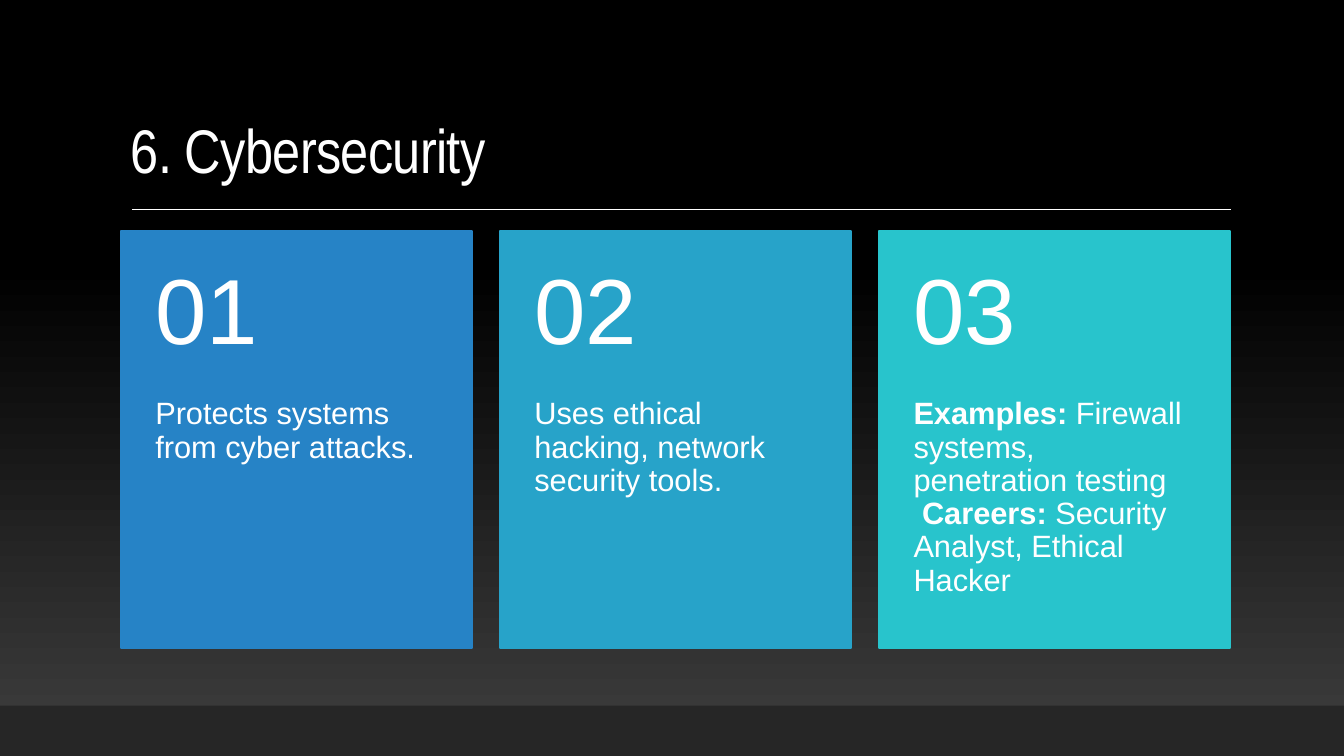
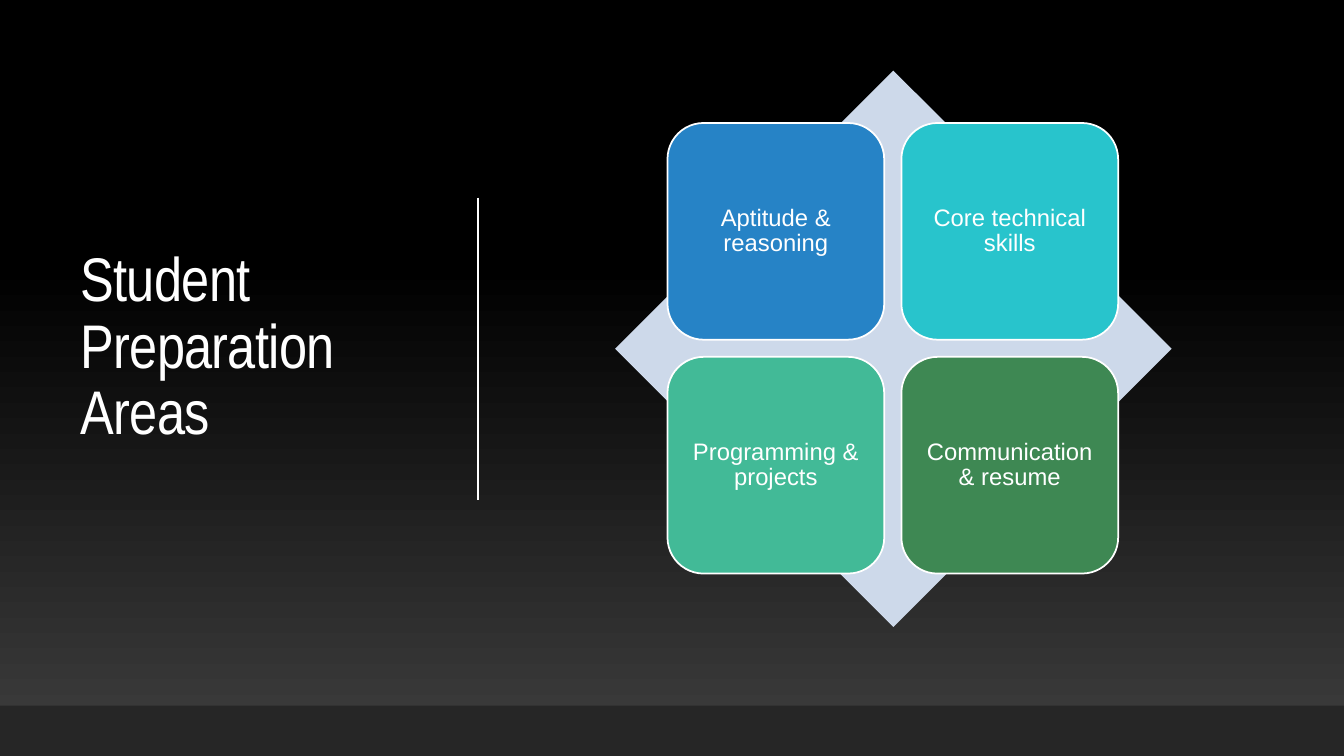
from pptx import Presentation
from pptx.dml.color import RGBColor as RGB
from pptx.enum.shapes import MSO_CONNECTOR as LINE, MSO_SHAPE as SHAPE
from pptx.enum.text import MSO_ANCHOR as ANCHOR, PP_ALIGN as ALIGN
from pptx.util import Inches, Pt
from pptx.oxml.ns import qn
from lxml.etree import SubElement

COLORS = {
    "white": "FFFFFF", "black": "000000", "charcoal": "3F3F3F", "band": "262626",
    "blue": "2683C6", "sky": "27A3C9", "teal": "28C4CC", "mint": "42BA97",
    "green": "3E8853", "pale": "CDD9EA",
}
FORMATS = {
    "title": {"name": "Arial Narrow", "size": Pt(44)},
    "number": {"name": "Arial", "size": Pt(66)},
    "body": {"name": "Arial", "size": Pt(22)},
    "tile": {"name": "Arial", "size": Pt(17)},
}
WIDTH, HEIGHT, BAND = 13.33, 7.5, 0.5


def color(key):
    return RGB.from_string(COLORS[key])


class Deck:
    def __init__(self):
        self.prs = Presentation()
        self.prs.slide_width = Inches(WIDTH)
        self.prs.slide_height = Inches(HEIGHT)
        self.s = None

    def slide(self):
        self.s = self.prs.slides.add_slide(self.prs.slide_layouts[6])
        fill = self.s.background.fill
        fill.gradient()
        fill.gradient_angle = 90
        stops = ((0, "charcoal"), (0.65, "black"))
        for stop, (position, key) in zip(fill.gradient_stops, stops):
            stop.position = position
            stop.color.rgb = color(key)
        self.shape(SHAPE.RECTANGLE, (0, HEIGHT - BAND, WIDTH, BAND), "band")

    def shape(self, kind, box, fill, line=None):
        sp = self.s.shapes.add_shape(kind, *map(Inches, box))
        sp.shadow.inherit = False
        sp.fill.solid()
        sp.fill.fore_color.rgb = color(fill)
        if line:
            sp.line.color.rgb = color(line)
            sp.line.width = Pt(1.25)
        else:
            sp.line.fill.background()
        return sp

    def line(self, x1, y1, x2, y2):
        sp = self.s.shapes.add_connector(LINE.STRAIGHT, *map(Inches, (x1, y1, x2, y2)))
        sp.line.color.rgb = color("white")
        sp.line.width = Pt(1)
        SubElement(sp._element.spPr, qn("a:effectLst"))

    def fill_text(self, sp, lines, style, anchor, margins, align=ALIGN.LEFT):
        tf = sp.text_frame
        left, top, right, bottom = map(Inches, margins)
        frame = {"word_wrap": True, "vertical_anchor": anchor,
                 "margin_left": left, "margin_top": top,
                 "margin_right": right, "margin_bottom": bottom}
        for name, value in frame.items():
            setattr(tf, name, value)
        p = tf.paragraphs[0]
        p.alignment = align
        p.line_spacing = 0.9
        for i, line in enumerate(lines):
            if i:
                p.add_line_break()
            for text, bold in line:
                r = p.add_run()
                r.text = text
                for name, value in {**FORMATS[style], "bold": bold}.items():
                    setattr(r.font, name, value)
                r.font.color.rgb = color("white")
        return p

    def text(self, box, lines, style, anchor, margins):
        sp = self.s.shapes.add_textbox(*map(Inches, box))
        return self.fill_text(sp, lines, style, anchor, margins)

    def title(self, box, text, anchor):
        p = self.text(box, plain(text), "title", anchor, (0.1, 0.05, 0.1, 0.05))
        for r in p.runs:
            r._r.get_or_add_rPr().set("spc", "-50")

    def card(self, x, number, fill, lines):
        y, w, h, head = 2.29, 3.48, 4.14, 1.66
        self.shape(SHAPE.RECTANGLE, (x, y, w, h), fill, fill)
        self.text((x, y, w, head), plain(f"{number:02}"), "number",
                  ANCHOR.MIDDLE, (0.34, 0.18, 0.34, 0.18))
        self.text((x, y + head, w, h - head), lines, "body",
                  ANCHOR.TOP, (0.34, 0, 0.34, 0.36))

    def tile(self, x, y, text, fill):
        sp = self.shape(SHAPE.ROUNDED_RECTANGLE, (x, y, 2.15, 2.15), fill, "white")
        self.fill_text(sp, plain(text), "tile", ANCHOR.MIDDLE, (0.07,) * 4, ALIGN.CENTER)


def plain(text):
    return [[(text, False)]]


def cybersecurity(deck):
    deck.slide()
    deck.title((1.2, 0.31, 11, 1.59), "6. Cybersecurity", ANCHOR.BOTTOM)
    deck.line(1.31, 2.08, 12.21, 2.08)
    cards = [
        ("blue", plain("Protects systems from cyber attacks.")),
        ("sky", plain("Uses ethical hacking, network security tools.")),
        ("teal", [
            [("Examples:", True), (" Firewall systems, penetration testing", False)],
            [(" ", False), ("Careers:", True),
             (" Security Analyst, Ethical Hacker", False)],
        ]),
    ]
    for i, (fill, lines) in enumerate(cards):
        deck.card(1.2 + i * 3.76, i + 1, fill, lines)


def preparation(deck):
    deck.slide()
    deck.title((0.7, 0.69, 3.69, 5.53), "Student Preparation Areas", ANCHOR.MIDDLE)
    deck.line(4.74, 1.96, 4.74, 4.96)
    deck.shape(SHAPE.DIAMOND, (6.1, 0.7, 5.52, 5.52), "pale")
    tiles = [
        ("Aptitude & reasoning", "blue"),
        ("Core technical skills", "teal"),
        ("Programming & projects", "mint"),
        ("Communication & resume", "green"),
    ]
    for i, (text, fill) in enumerate(tiles):
        row, col = divmod(i, 2)
        deck.tile(6.62 + col * 2.32, 1.22 + row * 2.32, text, fill)


def main():
    deck = Deck()
    cybersecurity(deck)
    preparation(deck)
    deck.prs.save("out.pptx")


if __name__ == "__main__":
    main()
